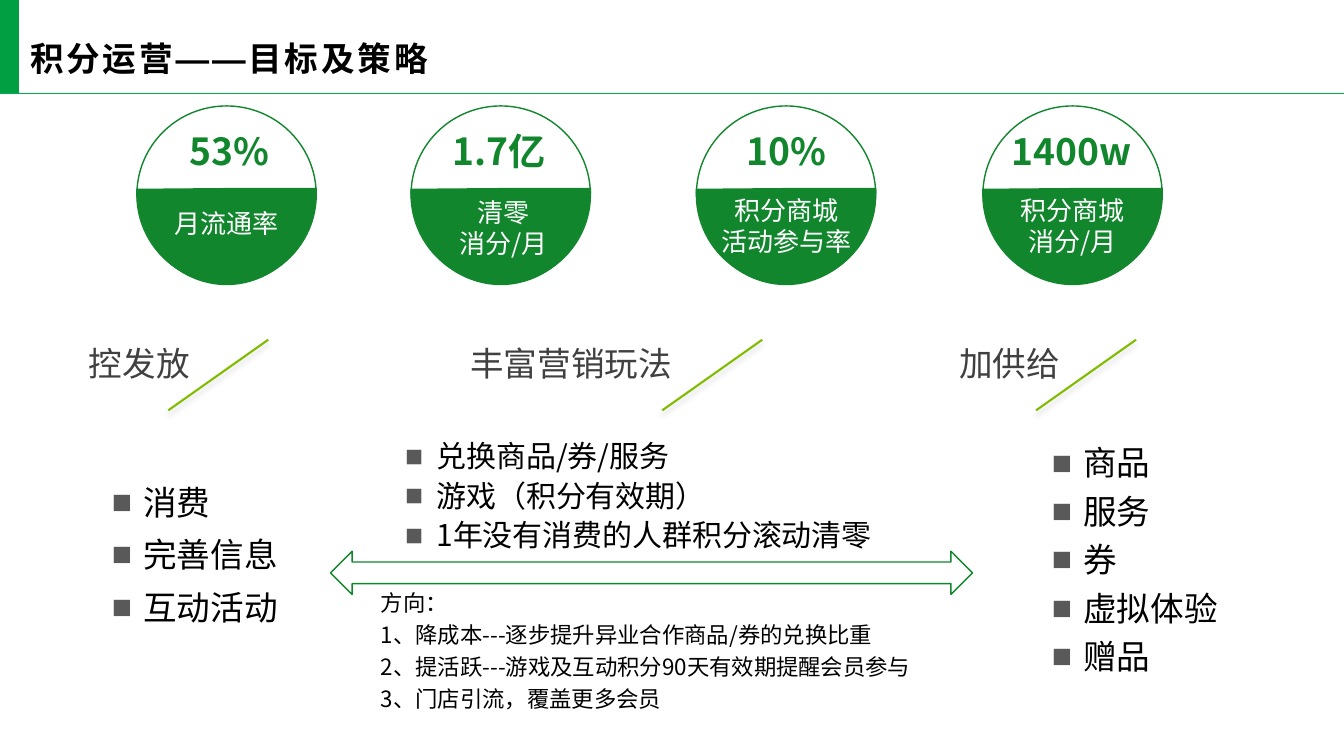
from lxml.etree import SubElement
from pptx import Presentation
from pptx.dml.color import RGBColor
from pptx.enum.shapes import MSO_CONNECTOR, MSO_SHAPE
from pptx.enum.text import MSO_ANCHOR, MSO_AUTO_SIZE, PP_ALIGN
from pptx.oxml.ns import qn
from pptx.util import Cm, Pt

HUES = {
    "bar": "029E42",
    "rule": "00B050",
    "green": "11862D",
    "lime": "80BD01",
    "black": "000000",
    "white": "FFFFFF",
    "head": "404040",
    "mark": "595959",
    "shade": "A6A6A6",
}
SANS = "Noto Sans CJK SC"


def tint(name):
    return RGBColor.from_string(HUES[name])


def add_form(shapes, kind, box, fill=None, line=None):
    form = shapes.add_shape(kind, *map(Cm, box))
    form.shadow.inherit = False
    if fill:
        form.fill.solid()
        form.fill.fore_color.rgb = tint(fill)
    else:
        form.fill.background()
    if line:
        form.line.color.rgb = tint(line)
        form.line.width = Pt(1)
    else:
        form.line.fill.background()
    return form


def add_line(shapes, ends, hue, width):
    line = shapes.add_connector(MSO_CONNECTOR.STRAIGHT, *map(Cm, ends))
    line.line.color.rgb = tint(hue)
    line.line.width = Pt(width)
    return SubElement(line._element.spPr, qn("a:effectLst"))


def add_slash(shapes, left):
    effects = add_line(shapes, (left, 10.34, left + 2.52, 8.56), "lime", 1.5)
    shade = SubElement(effects, qn("a:outerShdw"), blurRad=str(Pt(4)),
                       dist=str(Pt(3)), dir="5400000", rotWithShape="0")
    color = SubElement(shade, qn("a:srgbClr"), val=HUES["shade"])
    SubElement(color, qn("a:alpha"), val="40000")


def add_mark(para):
    props = para._p.get_or_add_pPr()
    props.set("marL", str(Cm(0.79)))
    props.set("indent", str(-Cm(0.79)))
    color = SubElement(props, qn("a:buClr"))
    SubElement(color, qn("a:srgbClr"), val=HUES["mark"])
    SubElement(props, qn("a:buFont"), typeface="Arial")
    SubElement(props, qn("a:buChar"), char="■")


def add_text(shapes, box, lines, size, hue="black", face=SANS, bold=False,
             align=PP_ALIGN.LEFT, space=None, marks=False):
    text = shapes.add_textbox(*map(Cm, box))
    frame = text.text_frame
    frame.word_wrap = True
    frame.auto_size = MSO_AUTO_SIZE.SHAPE_TO_FIT_TEXT
    for i, line in enumerate(lines):
        para = frame.add_paragraph() if i else frame.paragraphs[0]
        para.alignment = align
        if space:
            para.line_spacing = space
        if marks:
            add_mark(para)
        run = para.add_run()
        run.text = line
        font = run.font
        font.name = face
        font.size = Pt(size)
        font.bold = bold
        font.color.rgb = tint(hue)
        SubElement(font._element, qn("a:ea"), typeface=face)
    return text


def add_title(shapes, words):
    add_form(shapes, MSO_SHAPE.RECTANGLE, (0, 0, 0.48, 2.36), fill="bar")
    add_line(shapes, (0, 2.36, 33.87, 2.36), "rule", 1)
    title = add_text(shapes, (0.48, 0.56, 14.94, 1.8), [words], 24,
                     face="Arial", bold=True)
    frame = title.text_frame
    frame.auto_size = MSO_AUTO_SIZE.NONE
    frame.vertical_anchor = MSO_ANCHOR.MIDDLE
    frame.margin_left, frame.margin_right = Cm(0.28), Cm(0.2)
    frame.margin_top = frame.margin_bottom = Cm(0.1)
    frame.paragraphs[0].runs[0].font._element.set("spc", "200")


def add_dial(shapes, left, value, value_left, label, label_box):
    group = shapes.add_group_shape().shapes
    add_form(group, MSO_SHAPE.OVAL, (left, 2.67, 4.52, 4.47), line="green")
    half = add_form(group, MSO_SHAPE.PIE, (left, 2.34, 4.52, 4.83),
                    fill="green", line="green")
    half.adjustments[0] = 0
    half.adjustments[1] = 107.71
    add_text(group, label_box, label, 18.6, "white", align=PP_ALIGN.CENTER)
    add_text(group, (value_left, 3.1, 3.86, 1.4), [value], 26.6, "green",
             bold=True, align=PP_ALIGN.CENTER)


def main():
    deck = Presentation()
    deck.slide_width, deck.slide_height = Cm(33.87), Cm(19.05)
    shapes = deck.slides.add_slide(deck.slide_layouts[6]).shapes

    add_title(shapes, "积分运营——目标及策略")

    dials = [
        (3.45, "53%", 3.86, ["月流通率"], (3.78, 5.11, 3.86, 1.04)),
        (10.36, "1.7亿", 10.64, ["清零", "消分/月"], (10.59, 4.83, 4.19, 1.85)),
        (17.55, "10%", 17.88, ["积分商城", "活动参与率"], (17.42, 4.78, 4.8, 1.85)),
        (24.77, "1400w", 25.07, ["积分商城", "消分/月"], (25.1, 4.78, 3.86, 1.85)),
    ]
    for dial in dials:
        add_dial(shapes, *dial)

    heads = [
        ("控发放", 1.63, 3.76, 4.24),
        ("丰富营销玩法", 11.07, 6.65, 16.69),
        ("加供给", 23.75, 3.38, 26.11),
    ]
    for words, left, width, slash in heads:
        add_text(shapes, (left, 8.51, width, 1.27), [words], 24, "head",
                 align=PP_ALIGN.CENTER)
        add_slash(shapes, slash)

    lists = [
        ((2.57, 11.71, 5.41, 4.24), 24, 1.3, ["消费", "完善信息", "互动活动"]),
        ((9.96, 10.82, 13.26, 4.27), 21.4, 1.1,
         ["兑换商品/券/服务", "游戏（积分有效期）", "1年没有消费的人群积分滚动清零"]),
        ((26.26, 10.82, 5.41, 6.4), 24, 1.2,
         ["商品", "服务", "券", "虚拟体验", "赠品"]),
    ]
    for box, size, space, lines in lists:
        add_text(shapes, box, lines, size, space=space, marks=True)

    goals = [
        "方向：",
        "1、降成本---逐步提升异业合作商品/券的兑换比重",
        "2、提活跃---游戏及互动积分90天有效期提醒会员参与",
        "3、门店引流，覆盖更多会员",
    ]
    add_text(shapes, (9.35, 14.58, 14.94, 3.53), goals, 16, space=1.2)
    add_form(shapes, MSO_SHAPE.LEFT_RIGHT_ARROW, (8.33, 13.89, 16.18, 1.09),
             line="green")

    deck.save("out.pptx")


if __name__ == "__main__":
    main()
